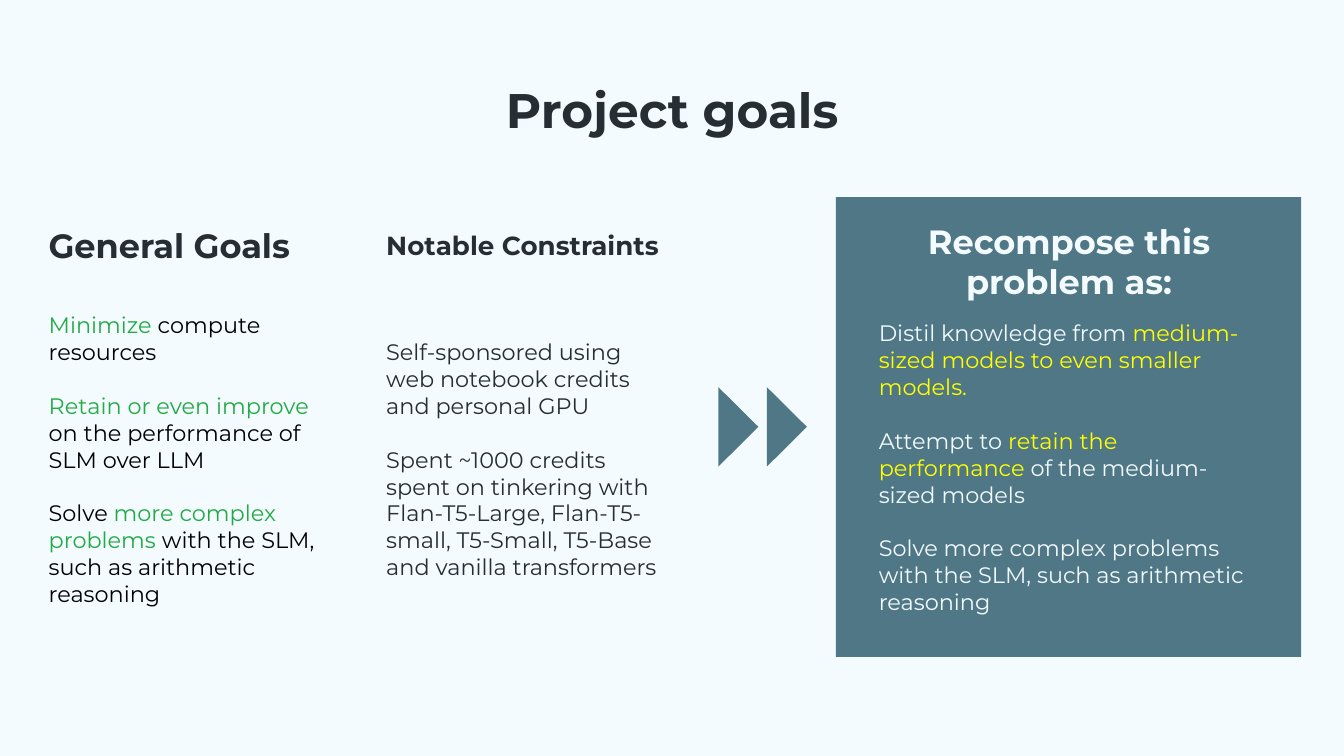
"""Build the project goals slide."""
from pptx import Presentation
from pptx.dml.color import RGBColor
from pptx.enum.shapes import MSO_SHAPE
from pptx.enum.text import MSO_ANCHOR, PP_ALIGN
from pptx.util import Pt

RECTANGLE, TRIANGLE = MSO_SHAPE.RECTANGLE, MSO_SHAPE.ISOSCELES_TRIANGLE
TOP, MIDDLE = MSO_ANCHOR.TOP, MSO_ANCHOR.MIDDLE
LEFT, CENTER = PP_ALIGN.LEFT, PP_ALIGN.CENTER

PALE = RGBColor(0xF3, 0xFB, 0xFF)
TEAL = RGBColor(0x4F, 0x77, 0x86)
DARK = RGBColor(0x26, 0x2D, 0x33)
BLACK = RGBColor(0, 0, 0)
GREEN = RGBColor(0x22, 0xAA, 0x44)
YELLOW = RGBColor(0xFF, 0xFF, 0)

FONT = "Montserrat"
INSET = Pt(7.2)
BODY_SIZE = 12
PARAGRAPH_GAP = Pt(14.4)

GOALS = [
    [("Minimize ", GREEN), ("compute resources", BLACK)],
    [("Retain or even improve ", GREEN), ("on the performance of SLM over LLM", BLACK)],
    [("Solve ", BLACK), ("more complex problems ", GREEN),
     ("with the SLM, such as arithmetic reasoning", BLACK)],
]
CONSTRAINTS = [
    [("Self-sponsored using web notebook credits and personal GPU", DARK)],
    [("Spent ~1000 credits spent on tinkering with Flan-T5-Large, Flan-T5-small, "
      "T5-Small, T5-Base and vanilla transformers", DARK)],
]
RECOMPOSED = [
    [("Distil knowledge from ", PALE),
     ("medium-sized models to even smaller models.", YELLOW)],
    [("Attempt to ", PALE), ("retain the performance", YELLOW),
     (" of the medium-sized models", PALE)],
    [("Solve more complex problems with the SLM, such as arithmetic reasoning", PALE)],
]


def place(sp, left, top, width, height):
    """Set the position and size of a shape in points."""
    sp.left, sp.top, sp.width, sp.height = map(Pt, (left, top, width, height))


def write(tf, paragraphs, size, bold=False, align=LEFT, anchor=MIDDLE):
    """Fill a text frame with paragraphs of (text, colour) runs."""
    tf.word_wrap = True
    tf.vertical_anchor = anchor
    tf.margin_left = tf.margin_right = tf.margin_top = tf.margin_bottom = INSET
    for i, runs in enumerate(paragraphs):
        p = tf.add_paragraph() if i else tf.paragraphs[0]
        p.alignment = align
        p.space_before = PARAGRAPH_GAP if i else Pt(0)
        p.font.name, p.font.size, p.font.bold = FONT, Pt(size), bold
        for text, color in runs:
            r = p.add_run()
            r.text = text
            r.font.color.rgb = color


def add_title(s, text):
    """Format and fill the title placeholder."""
    sp = s.shapes.title
    place(sp, 56.7, 35.4, 607, 70.5)
    write(sp.text_frame, [[(text, DARK)]], 26, True, CENTER, TOP)


def add_text(s, box, paragraphs, size=BODY_SIZE, bold=False, align=LEFT):
    """Add a text box."""
    sp = s.shapes.add_textbox(*map(Pt, box))
    write(sp.text_frame, paragraphs, size, bold, align)


def add_column(s, left, heading, size, paragraphs):
    """Add a heading with its body text below."""
    add_text(s, (left, 114.3, 165.5, 34.3), [[(heading, DARK)]], size, True)
    add_text(s, (left, 148.5, 165, 195), paragraphs)


def add_block(s, kind, box, rotation=0):
    """Add a plain teal shape."""
    sp = s.shapes.add_shape(kind, *map(Pt, box))
    sp.shadow.inherit = False
    sp.fill.solid()
    sp.fill.fore_color.rgb = TEAL
    sp.line.fill.background()
    sp.rotation = rotation


def main():
    """Build and save the slide."""
    prs = Presentation()
    prs.slide_width, prs.slide_height = Pt(720), Pt(405)
    s = prs.slides.add_slide(prs.slide_layouts[5])
    s.background.fill.solid()
    s.background.fill.fore_color.rgb = PALE

    add_block(s, RECTANGLE, (447.8, 105.6, 249.3, 246.3))
    add_title(s, "Project goals")
    add_text(s, (463.7, 114, 218, 52), [[("Recompose this problem as:", PALE)]],
             18, True, CENTER)
    add_text(s, (463.7, 174.4, 218, 152), RECOMPOSED)
    add_column(s, 19, "General Goals", 18, GOALS)
    add_column(s, 199.8, "Notable Constraints", 14, CONSTRAINTS)
    for left in (400.3, 374.3):
        add_block(s, TRIANGLE, (left, 218, 42.5, 21.4), 90)

    prs.save("out.pptx")


if __name__ == "__main__":
    main()
